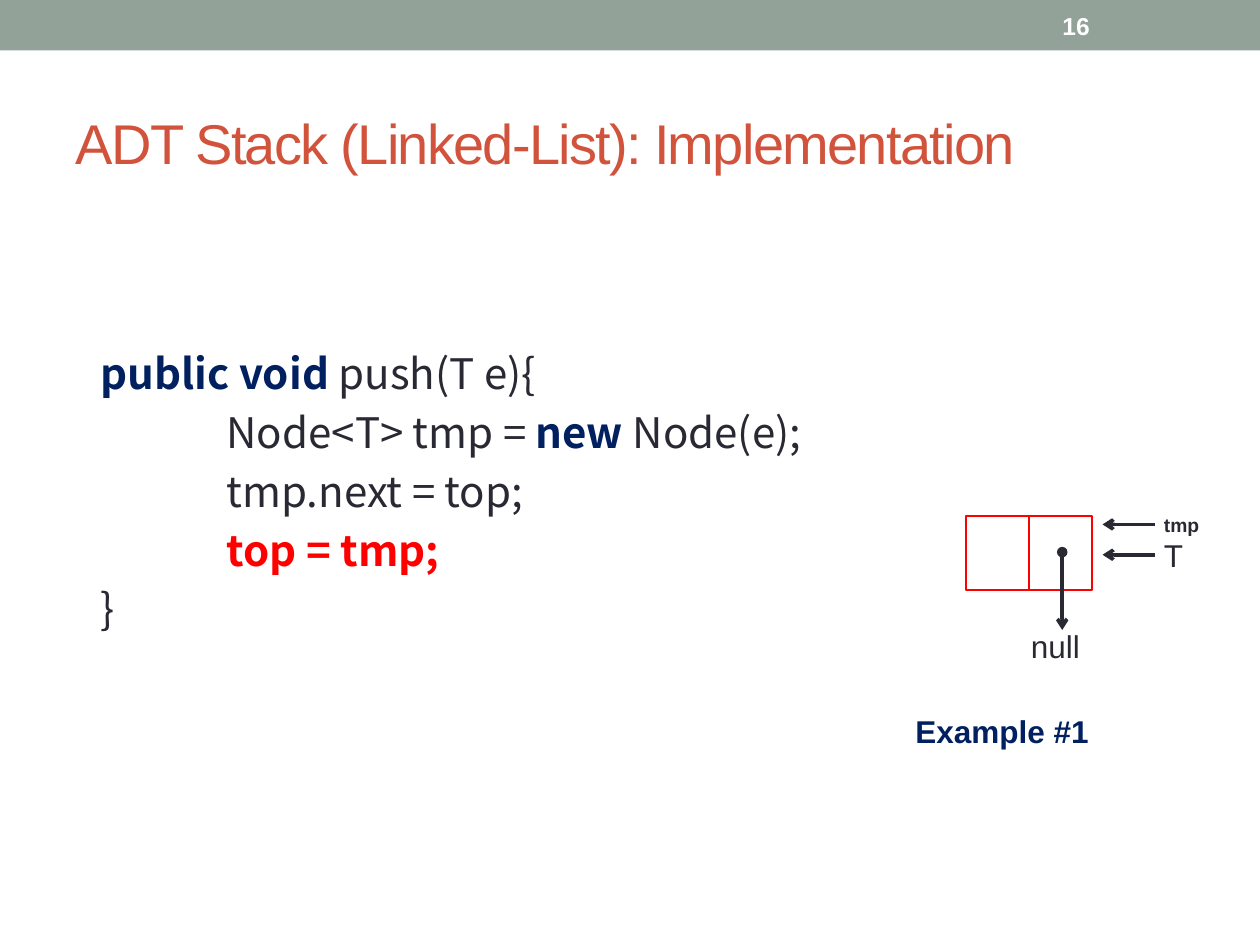
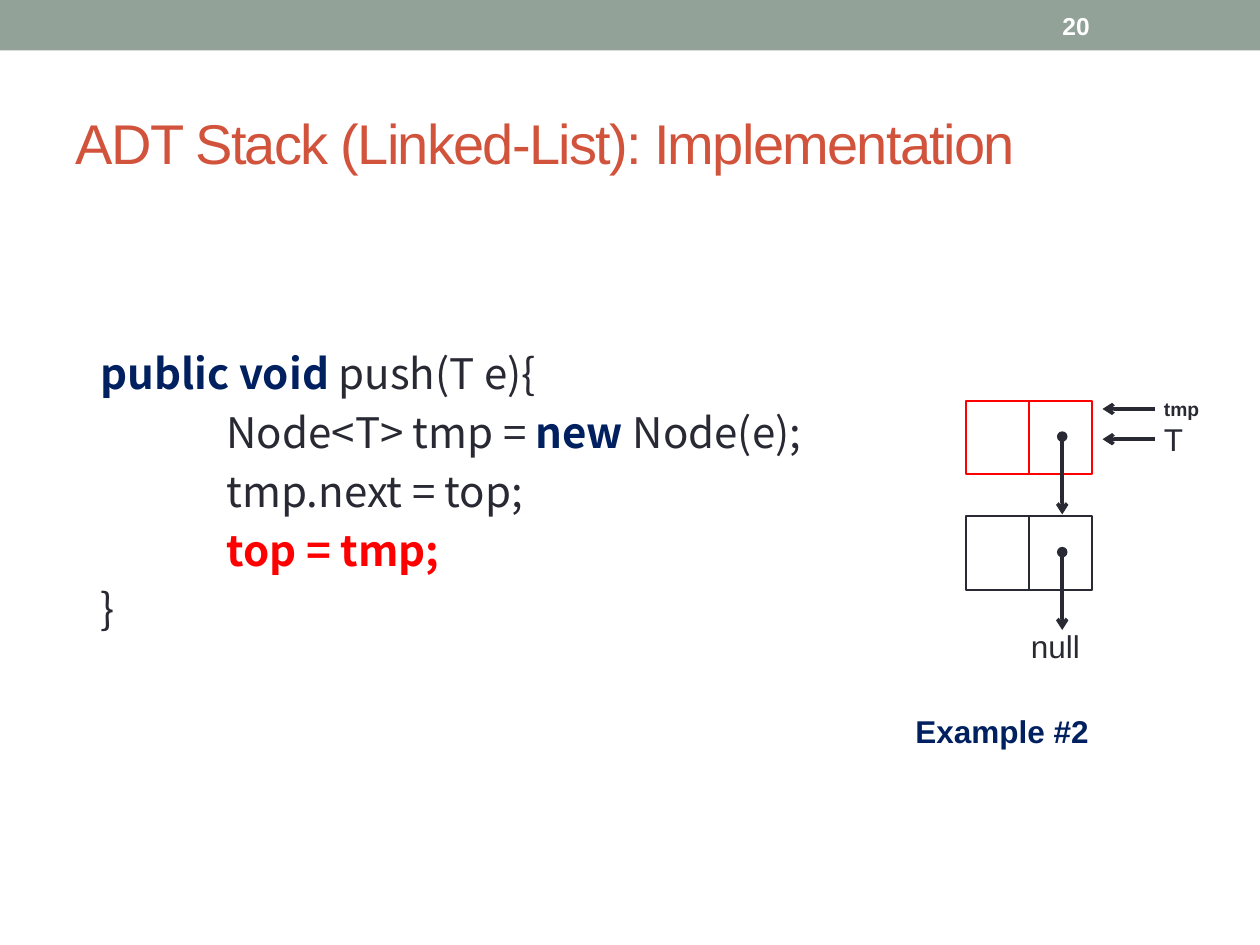
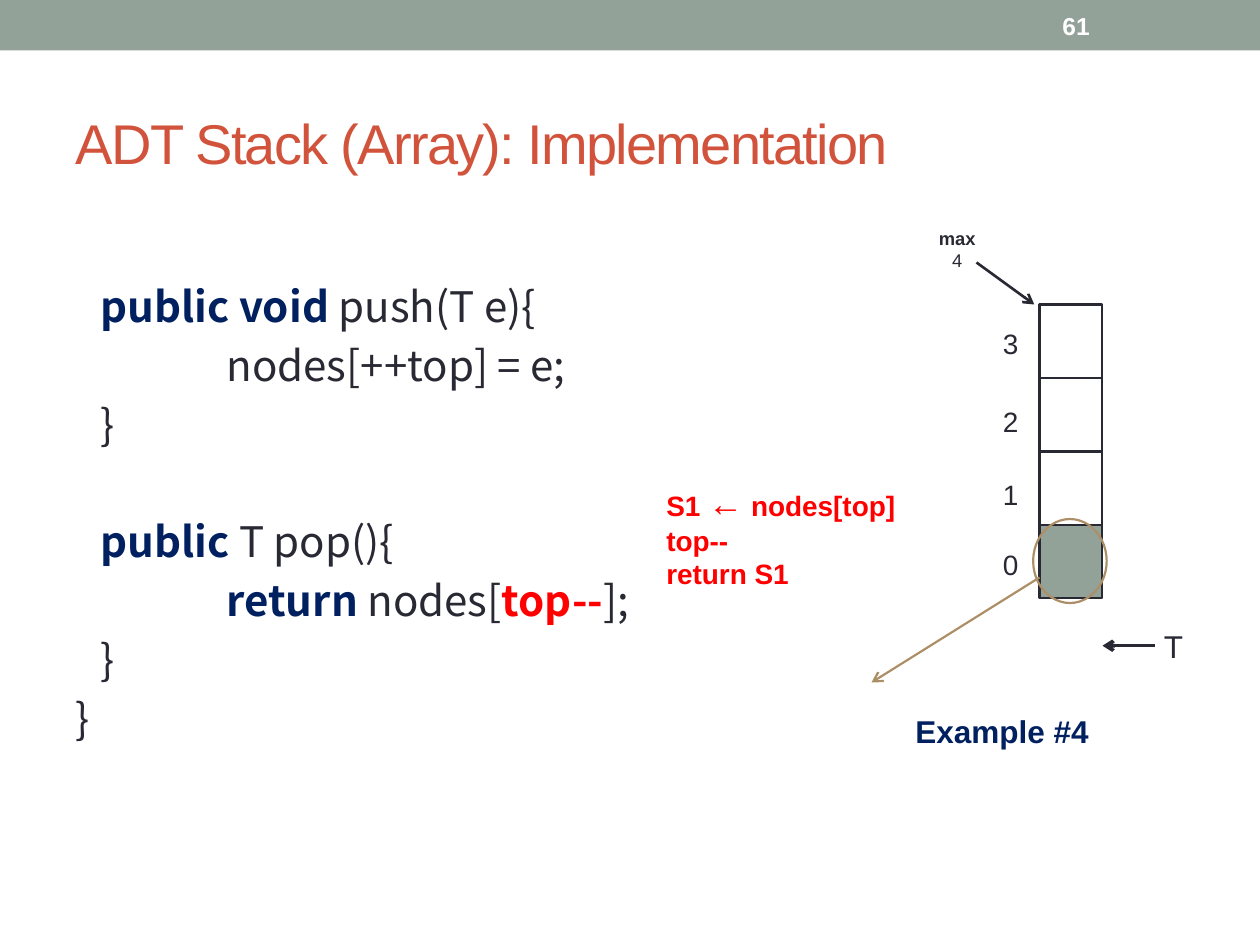
from lxml.etree import SubElement
from pptx import Presentation
from pptx.dml.color import RGBColor
from pptx.enum.shapes import MSO_CONNECTOR as Connector, MSO_SHAPE as Shape
from pptx.enum.text import MSO_ANCHOR as Anchor, PP_ALIGN as Align
from pptx.oxml.ns import qn
from pptx.util import Pt

BAND = RGBColor(0x93, 0xA2, 0x99)
TITLE = RGBColor(0xD2, 0x53, 0x3C)
INK = RGBColor(0x29, 0x29, 0x34)
NAVY = RGBColor(0x00, 0x20, 0x60)
RED = RGBColor(0xFF, 0x00, 0x00)
TAN = RGBColor(0xAD, 0x8F, 0x67)
WHITE = RGBColor(0xFF, 0xFF, 0xFF)

FONT = "Arial"
CODE_FONT = "Noto Sans CJK SC"
CODE_PITCH = 33.6
CODE_INDENTS = (0, 14.4, 86.4)

NODE_LEFT, NODE_WIDTH = 552, 72
CELL_LEFT, CELL_WIDTH, CELL_HEIGHT = 594, 36, 42
BOTTOM_NODE_TOP, NODE_PITCH = 295, 66

LINKED_PUSH = [
    (1, [("public void ", NAVY), ("push(T e){", INK)]),
    (2, [("Node<T> tmp = ", INK), ("new ", NAVY), ("Node(e);", INK)]),
    (2, [("tmp.next = top;", INK)]),
    (2, [("top = tmp;", RED)]),
    (1, [("}", INK)]),
]
ARRAY_PUSH = [
    (1, [("public void ", NAVY), ("push(T e){", INK)]),
    (2, [("nodes[++top] = e;", INK)]),
    (1, [("}", INK)]),
]
ARRAY_POP = [
    (1, [("public ", NAVY), ("T pop(){", INK)]),
    (2, [("return ", NAVY), ("nodes[", INK), ("top--", RED), ("];", INK)]),
    (1, [("}", INK)]),
    (0, [("}", INK)]),
]


def format_run(run, size, color, bold=False, font=FONT):
    run.font.size = Pt(size)
    run.font.name = font
    run.font.bold = bold
    run.font.color.rgb = color


def add_label(slide, left, top, width, height, text, size, color=INK, bold=False):
    label = slide.shapes.add_textbox(Pt(left), Pt(top), Pt(width), Pt(height))
    frame = label.text_frame
    frame.word_wrap = False
    frame.text = text
    for paragraph in frame.paragraphs:
        for run in paragraph.runs:
            format_run(run, size, color, bold)
    return frame


def add_box(slide, kind, left, top, width, height, fill=None, line=None):
    shape = slide.shapes.add_shape(kind, Pt(left), Pt(top), Pt(width), Pt(height))
    shape.shadow.inherit = False
    if fill is None:
        shape.fill.background()
    else:
        shape.fill.solid()
        shape.fill.fore_color.rgb = fill
    if line is None:
        shape.line.fill.background()
    else:
        shape.line.color.rgb = line
        shape.line.width = Pt(1.25)


def add_line(slide, start, end, color=INK, width=2, head=None, tail="arrow"):
    ends = [Pt(value) for value in (*start, *end)]
    line = slide.shapes.add_connector(Connector.STRAIGHT, *ends)
    line.line.color.rgb = color
    line.line.width = Pt(width)
    outline = line.line._get_or_add_ln()
    for tag, kind in (("a:headEnd", head), ("a:tailEnd", tail)):
        if kind:
            SubElement(outline, qn(tag), type=kind)
    SubElement(line._element.spPr, qn("a:effectLst"))


def add_code(slide, top, *blocks):
    box = slide.shapes.add_textbox(Pt(36), Pt(top), Pt(648), Pt(320))
    frame = box.text_frame
    frame.word_wrap = True
    paragraph = frame.paragraphs[0]
    for block_index, block in enumerate(blocks):
        for line_index, (level, parts) in enumerate(block):
            if block_index or line_index:
                paragraph = frame.add_paragraph()
            paragraph.line_spacing = Pt(CODE_PITCH)
            if block_index and not line_index:
                paragraph.space_before = Pt(CODE_PITCH)
            properties = paragraph._p.get_or_add_pPr()
            properties.set("marL", str(int(Pt(CODE_INDENTS[level]))))
            for text, color in parts:
                run = paragraph.add_run()
                run.text = text
                format_run(run, 24, color, color != INK, CODE_FONT)


def add_base(presentation, title_text, number, example):
    slide = presentation.slides.add_slide(presentation.slide_layouts[5])
    add_box(slide, Shape.RECTANGLE, 0, 0, 720, 28.8, BAND)
    title = slide.shapes.title
    title.left, title.top, title.width, title.height = Pt(36), Pt(42), Pt(648), Pt(78)
    title.text_frame.text = title_text
    title.text_frame.vertical_anchor = Anchor.MIDDLE
    paragraph = title.text_frame.paragraphs[0]
    paragraph.alignment = Align.LEFT
    run = paragraph.runs[0]
    format_run(run, 32, TITLE)
    run.font._element.set("spc", "-100")
    frame = add_label(slide, 600, 1.5, 84, 26, number, 14, WHITE, True)
    frame.vertical_anchor = Anchor.MIDDLE
    add_label(slide, 516, 403.5, 118, 29, example, 18, NAVY, True)
    return slide


def add_top_pointer(slide, y):
    add_line(slide, (660, y), (630, y))
    add_label(slide, 658, y - 14.4, 26, 29, "T", 18)


def add_node(slide, top, color):
    add_box(slide, Shape.RECTANGLE, NODE_LEFT, top, NODE_WIDTH, CELL_HEIGHT, WHITE, color)
    middle = NODE_LEFT + NODE_WIDTH / 2
    add_line(slide, (middle, top), (middle, top + CELL_HEIGHT), color, 0.75, tail=None)
    add_line(slide, (607, top + 20.5), (607, top + 65), head="oval")


def add_linked_slide(presentation, number, example, node_count):
    slide = add_base(presentation, "ADT Stack (Linked-List): Implementation", number, example)
    add_code(slide, 190.4, LINKED_PUSH)
    add_label(slide, 582, 355, 47.5, 29, "null", 18)
    for index in range(node_count):
        top = BOTTOM_NODE_TOP - index * NODE_PITCH
        add_node(slide, top, RED if index == node_count - 1 else INK)
    add_top_pointer(slide, top + 22)
    add_line(slide, (660, top + 4.7), (630, top + 4.7))
    add_label(slide, 658, top - 5.5, 36, 21, "tmp", 11, bold=True)


def add_array_slide(presentation):
    slide = add_base(presentation, "ADT Stack (Array): Implementation", "61", "Example #4")
    add_code(slide, 152, ARRAY_PUSH, ARRAY_POP)
    for index, label_top in enumerate((309.6, 269.3, 227.5, 183)):
        add_box(slide, Shape.RECTANGLE, CELL_LEFT, 300 - index * CELL_HEIGHT,
                CELL_WIDTH, CELL_HEIGHT, WHITE if index else BAND, INK)
        add_label(slide, 566, label_top, 24.5, 26.6, str(index), 16)
    add_line(slide, (558, 150), (591, 174), width=1.5)
    maximum = add_label(slide, 528, 126, 38, 34, "max\n4", 10.5)
    for paragraph in maximum.paragraphs:
        paragraph.alignment = Align.CENTER
    maximum.paragraphs[0].runs[0].font.bold = True
    add_top_pointer(slide, 369)
    add_line(slide, (594, 330), (498, 390), TAN, 1.25)
    add_box(slide, Shape.OVAL, 590.4, 296.6, 42, 48, line=TAN)
    steps = add_label(slide, 373.7, 271.4, 147, 70.6, "S1 \ntop--\nreturn S1", 16, RED, True)
    for text, size in (("←", 20), (" nodes[top]", 16)):
        run = steps.paragraphs[0].add_run()
        run.text = text
        format_run(run, size, RED, True)


def main():
    presentation = Presentation()
    presentation.slide_width, presentation.slide_height = Pt(720), Pt(540)
    add_linked_slide(presentation, "16", "Example #1", 1)
    add_linked_slide(presentation, "20", "Example #2", 2)
    add_array_slide(presentation)
    presentation.save("out.pptx")


if __name__ == "__main__":
    main()
